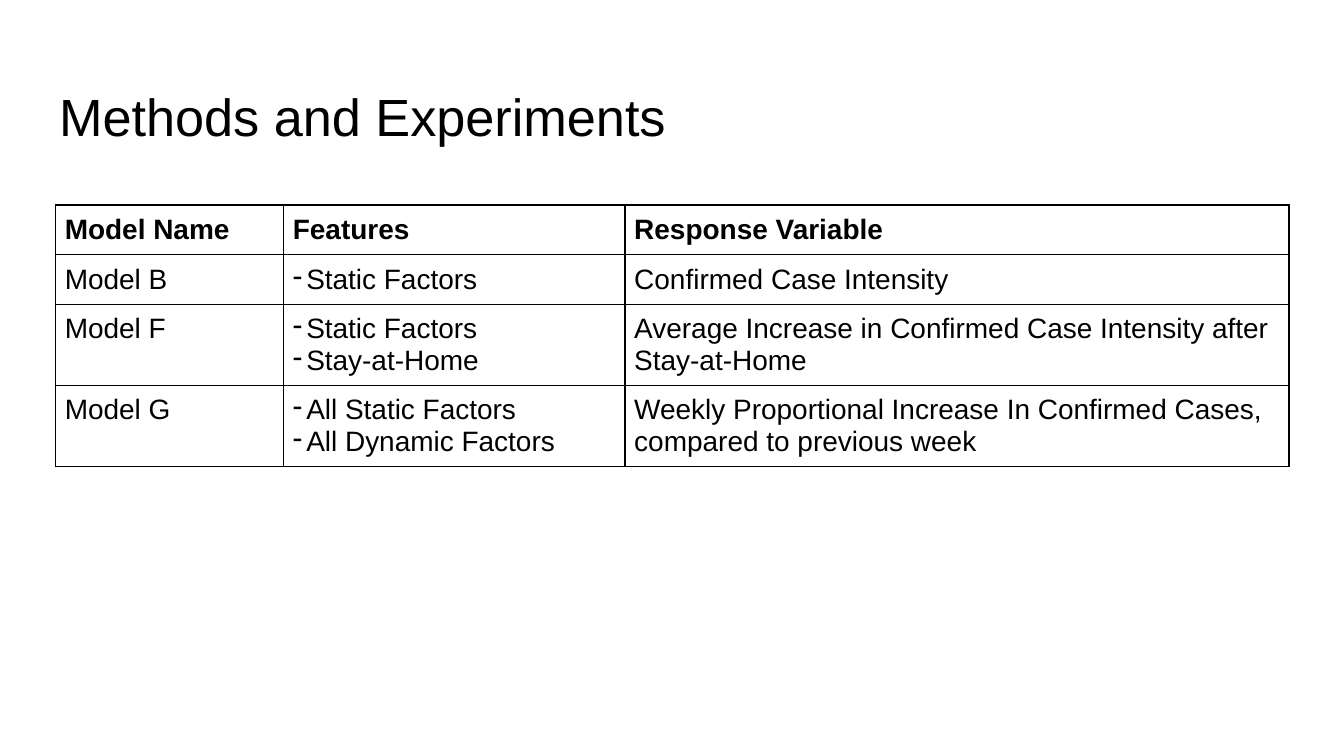
from pptx import Presentation
from pptx.dml.color import RGBColor as Rgb
from pptx.enum.text import MSO_ANCHOR as Anchor, MSO_AUTO_SIZE as Fit, PP_ALIGN as Align
from pptx.oxml import parse_xml as to_xml
from pptx.oxml.ns import nsdecls as names
from pptx.util import Pt


def color(code):
    return Rgb.from_string(code)


def style(para, size, bold=False):
    para.alignment = Align.LEFT
    para.font.name = "Arial"
    para.font.size = Pt(size)
    para.font.bold = bold
    para.font.color.rgb = color("000000")


deck = Presentation()
deck.slide_width, deck.slide_height = Pt(720), Pt(405)
slide = deck.slides.add_slide(deck.slide_layouts[5])
slide.background.fill.solid()
slide.background.fill.fore_color.rgb = color("FFFFFF")

title = slide.shapes.title
title.left, title.top, title.width, title.height = Pt(24.5), Pt(35.3), Pt(671), Pt(45.4)
frame = title.text_frame
frame.text = "Methods and Experiments"
frame.auto_size = Fit.NONE
frame.vertical_anchor = Anchor.TOP
frame.margin_left = frame.margin_right = Pt(7.2)
frame.margin_top, frame.margin_bottom = Pt(10), Pt(0)
style(frame.paragraphs[0], 28)

rows = [
    ("Model Name", "Features", "Response Variable"),
    ("Model B", "Static Factors", "Confirmed Case Intensity"),
    ("Model F", "Static Factors\nStay-at-Home",
     "Average Increase in Confirmed Case Intensity after Stay-at-Home"),
    ("Model G", "All Static Factors\nAll Dynamic Factors",
     "Weekly Proportional Increase In Confirmed Cases, compared to previous week"),
]
wide = [122.2, 182.9, 355.7]
high = [26.6, 26.6, 43.4, 43.4]
grid = slide.shapes.add_table(
    len(rows), len(wide), Pt(29.7), Pt(109.7), Pt(sum(wide)), Pt(sum(high))).table
grid.horz_banding = False
for col, width in zip(grid.columns, wide):
    col.width = Pt(width)
for row, height in zip(grid.rows, high):
    row.height = Pt(height)

for r, row in enumerate(rows):
    for c, text in enumerate(row):
        cell = grid.cell(r, c)
        cell.text = text
        cell.vertical_anchor = Anchor.TOP
        cell.margin_left = cell.margin_right = Pt(5)
        cell.margin_top = cell.margin_bottom = Pt(5)
        props = cell._tc.get_or_add_tcPr()
        for side in ("lnL", "lnR", "lnT", "lnB"):
            props.append(to_xml(
                f'<a:{side} {names("a")} w="{Pt(1)}"><a:solidFill>'
                f'<a:srgbClr val="000000"/></a:solidFill></a:{side}>'))
        cell.fill.solid()
        cell.fill.fore_color.rgb = color("FFFFFF")
        for para in cell.text_frame.paragraphs:
            style(para, 15, r == 0)
            if r and c == 1:
                dent = para._p.get_or_add_pPr()
                dent.set("marL", str(Pt(7.2)))
                dent.set("indent", str(-Pt(7.2)))
                dent.insert(0, to_xml(f'<a:buChar {names("a")} char="-"/>'))

deck.save("out.pptx")
